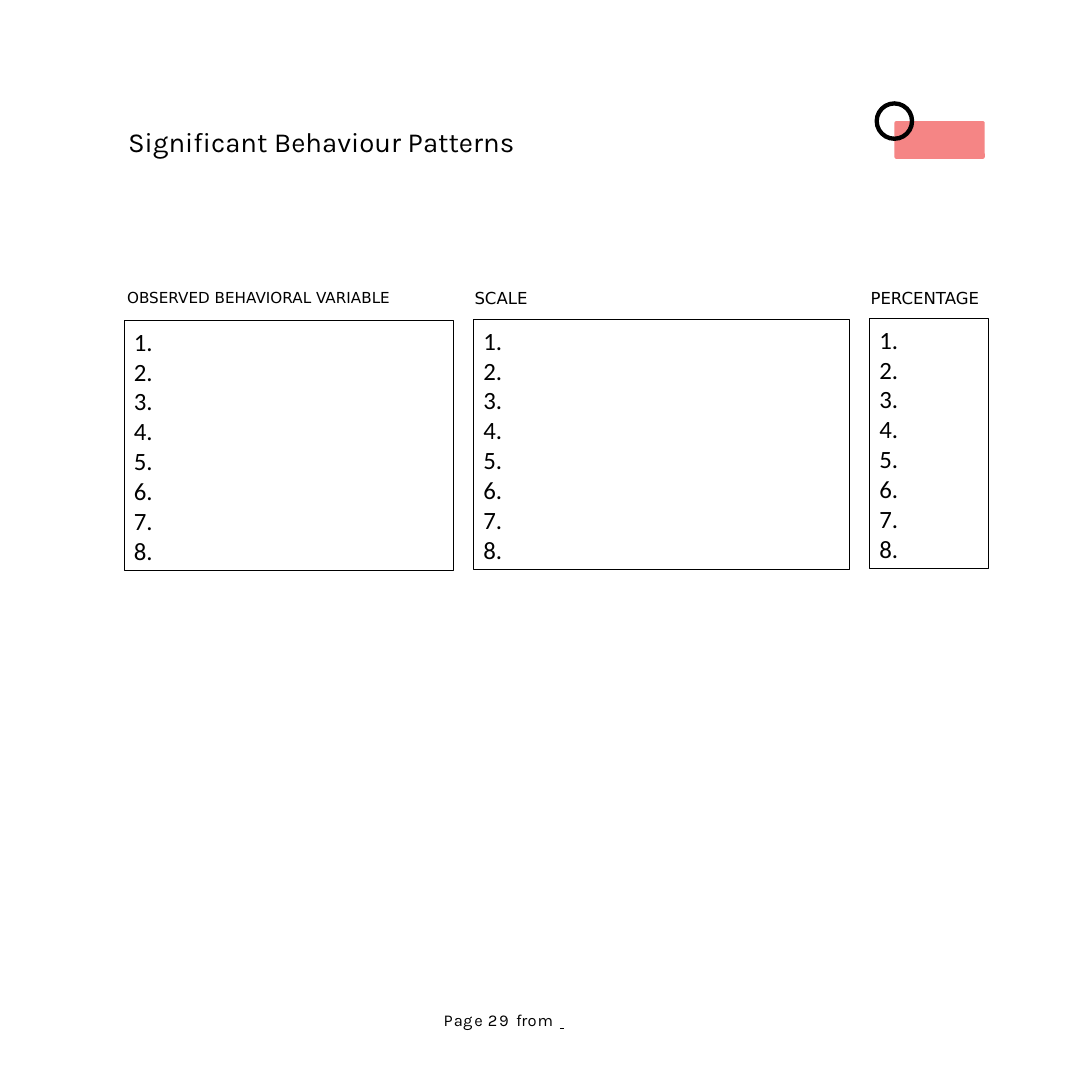
"""Build the worksheet slide for significant behaviour patterns."""
import dataclasses
import typing

import lxml.etree
import pptx
import pptx.dml.color
import pptx.enum.shapes
import pptx.enum.text
import pptx.oxml.ns
import pptx.util

Inches = pptx.util.Inches
Pt = pptx.util.Pt
ShapeType = pptx.enum.shapes.MSO_SHAPE
Anchor = pptx.enum.text.MSO_ANCHOR
Align = pptx.enum.text.PP_ALIGN


@dataclasses.dataclass(frozen=True)
class Theme:
    ink: pptx.dml.color.RGBColor = pptx.dml.color.RGBColor(0, 0, 0)
    accent: pptx.dml.color.RGBColor = pptx.dml.color.RGBColor(0xF5, 0x85, 0x85)
    title_font: str = "Karla"
    label_font: str = "DejaVu Sans"
    list_font: str = "Calibri"
    rule_font: str = "Times New Roman"
    title_size: float = 20
    list_size: float = 18
    footer_size: float = 12
    list_line: float = 21.65
    footer_line: float = 14.1


@dataclasses.dataclass(frozen=True)
class Column:
    label: str
    label_size: float
    label_left: float
    left: float
    top: float
    width: float


class SpacedText(typing.NamedTuple):
    text: str
    spacing: float


THEME = Theme()
LABEL_TOP = 2.89
BOX_HEIGHT = 2.52
ROW_COUNT = 8
COLUMNS = (
    Column("OBSERVED BEHAVIORAL VARIABLE", 11, 1.27, 1.25, 3.23, 3.32),
    Column("SCALE", 12, 4.77, 4.77, 3.22, 3.79),
    Column("PERCENTAGE", 12, 8.76, 8.76, 3.21, 1.2),
)
FOOTER = (
    SpacedText("P", 0.7), SpacedText("a", 0.2), SpacedText("g", 1.4),
    SpacedText("e ", 0.4), SpacedText("29 ", 1.2), SpacedText("fr", -0.1),
    SpacedText("o", 0.7), SpacedText("m ", 1.1),
)


def style_font(font, name: str, size: float) -> None:
    """Apply a typeface, a size and the ink colour."""
    font.name = name
    font.size = Pt(size)
    font.color.rgb = THEME.ink


def set_frame(text_frame, left: float, top: float, wrap: bool = True) -> None:
    """Set the insets, wrapping and top anchor of a text frame."""
    text_frame.margin_left = Inches(left)
    text_frame.margin_top = Inches(top)
    text_frame.margin_right = text_frame.margin_bottom = 0
    text_frame.word_wrap = wrap
    text_frame.auto_size = pptx.enum.text.MSO_AUTO_SIZE.NONE
    text_frame.vertical_anchor = Anchor.TOP


def add_title(slide) -> None:
    """Place and format the title placeholder."""
    title = slide.shapes.title
    title.left, title.top = Inches(1.28), Inches(1.24)
    title.width, title.height = Inches(7.37), Inches(0.35)
    set_frame(title.text_frame, 0.01, 0.02)
    title.text_frame.text = "Significant Behaviour Patterns"
    paragraph = title.text_frame.paragraphs[0]
    paragraph.alignment = Align.LEFT
    style_font(paragraph.runs[0].font, THEME.title_font, THEME.title_size)


def add_shape(slide, kind, left: float, top: float, width: float, height: float, fill=None):
    """Add a preset shape, either filled without a line or thinly outlined."""
    shape = slide.shapes.add_shape(kind, Inches(left), Inches(top), Inches(width), Inches(height))
    shape.shadow.inherit = False
    if fill is None:
        shape.fill.background()
        shape.line.color.rgb = THEME.ink
        shape.line.width = Pt(0.75)
    else:
        shape.fill.solid()
        shape.fill.fore_color.rgb = fill
        shape.line.fill.background()
    return shape


def add_ornament(slide) -> None:
    """Draw the tinted block and the ring on its corner."""
    block = add_shape(slide, ShapeType.ROUNDED_RECTANGLE, 9.01, 1.22, 0.91, 0.38, THEME.accent)
    block.adjustments[0] = 0.05
    ring = add_shape(slide, ShapeType.DONUT, 8.81, 1.02, 0.4, 0.4, THEME.ink)
    ring.adjustments[0] = 0.11


def add_column(slide, column: Column) -> None:
    """Draw a column label and its numbered box."""
    label = slide.shapes.add_textbox(
        Inches(column.label_left), Inches(LABEL_TOP), Inches(column.width), Inches(0.22))
    set_frame(label.text_frame, 0.01, 0.01, wrap=False)
    label.text_frame.text = column.label
    style_font(label.text_frame.paragraphs[0].runs[0].font, THEME.label_font, column.label_size)

    box = add_shape(slide, ShapeType.RECTANGLE, column.left, column.top, column.width, BOX_HEIGHT)
    set_frame(box.text_frame, 0.1, 0)
    box.text_frame.vertical_anchor = Anchor.MIDDLE
    box.text_frame.text = "\n".join(f"{number}." for number in range(1, ROW_COUNT + 1))
    for paragraph in box.text_frame.paragraphs:
        paragraph.alignment = Align.LEFT
        paragraph.line_spacing = Pt(THEME.list_line)
        style_font(paragraph.runs[0].font, THEME.list_font, THEME.list_size)


def add_footer(slide) -> None:
    """Write the letter-spaced page line with its underlined blank."""
    footer = slide.shapes.add_textbox(Inches(4.46), Inches(10.18), Inches(1.41), Inches(0.2))
    set_frame(footer.text_frame, 0.01, 0)
    paragraph = footer.text_frame.paragraphs[0]
    paragraph.line_spacing = Pt(THEME.footer_line)
    qualified = pptx.oxml.ns.qn
    tabs = lxml.etree.SubElement(paragraph._p.get_or_add_pPr(), qualified("a:tabLst"))
    lxml.etree.SubElement(tabs, qualified("a:tab"), pos=str(Inches(1.35)), algn="l")
    for piece in FOOTER:
        run = paragraph.add_run()
        run.text = piece.text
        style_font(run.font, THEME.title_font, THEME.footer_size)
        run._r.get_or_add_rPr().set("spc", str(round(piece.spacing * 100)))
    blank = paragraph.add_run()
    blank.text = " \t"
    style_font(blank.font, THEME.rule_font, THEME.footer_size)
    blank.font.underline = True


def main() -> None:
    """Build and save the presentation."""
    presentation = pptx.Presentation()
    presentation.slide_width = presentation.slide_height = Inches(11)
    slide = presentation.slides.add_slide(presentation.slide_layouts[5])
    add_title(slide)
    add_ornament(slide)
    for column in COLUMNS:
        add_column(slide, column)
    add_footer(slide)
    presentation.save("out.pptx")


if __name__ == "__main__":
    main()
